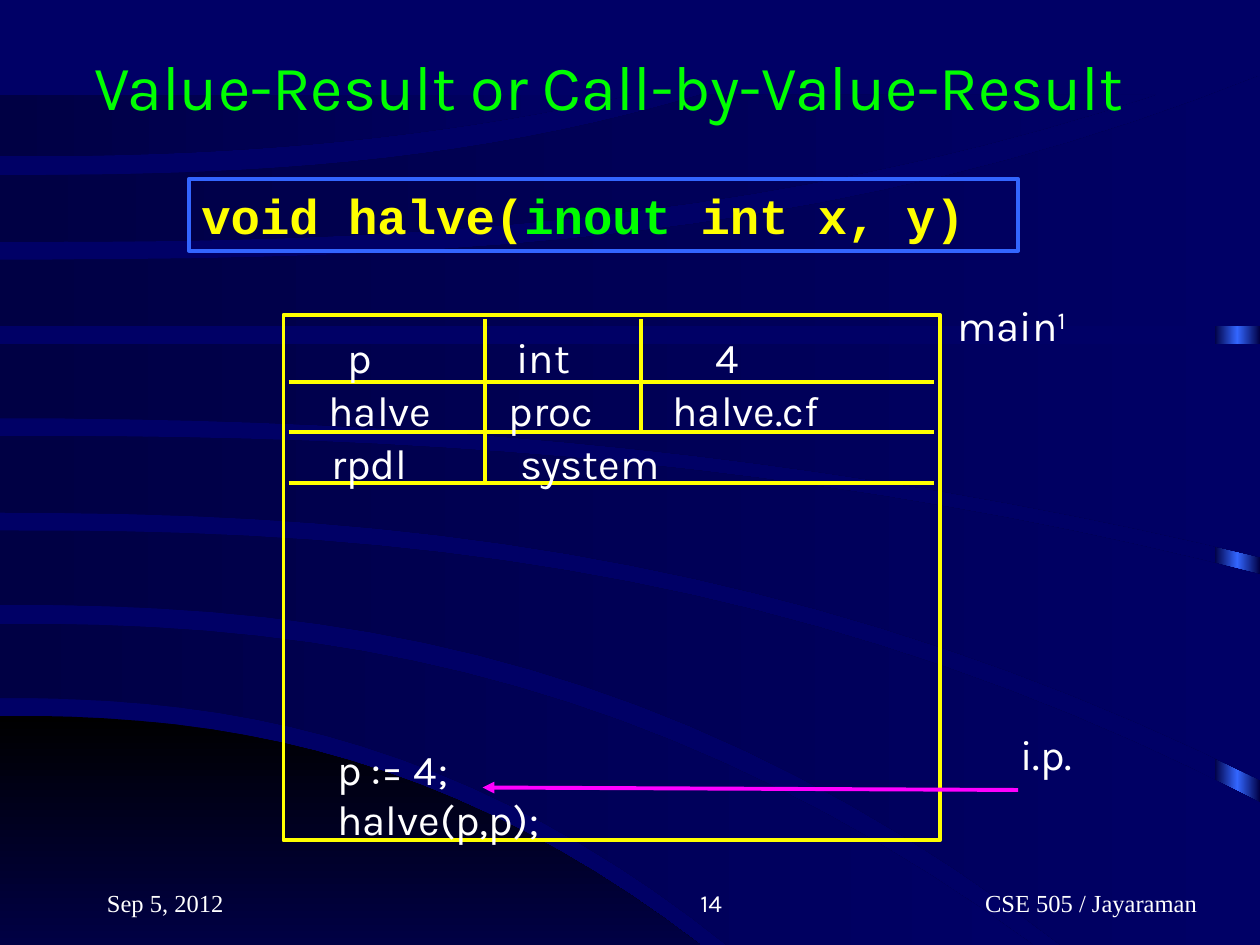
"""Build the slide on call-by-value-result with its activation record for main."""
from copy import deepcopy

from lxml.etree import SubElement
from pptx import Presentation
from pptx.dml.color import RGBColor
from pptx.enum.shapes import MSO_CONNECTOR, MSO_SHAPE
from pptx.enum.text import MSO_ANCHOR, PP_ALIGN
from pptx.oxml.ns import qn
from pptx.util import Inches, Pt

WHITE = RGBColor(0xFF, 0xFF, 0xFF)
BLACK = RGBColor(0x00, 0x00, 0x00)
NAVY = RGBColor(0x00, 0x00, 0x66)
DARK_NAVY = RGBColor(0x00, 0x00, 0x44)
BLUE = RGBColor(0x33, 0x66, 0xFF)
YELLOW = RGBColor(0xFF, 0xFF, 0x00)
GREEN = RGBColor(0x00, 0xFF, 0x00)
MAGENTA = RGBColor(0xFF, 0x00, 0xFF)

presentation = Presentation()
presentation.slide_width = Inches(10)
presentation.slide_height = Inches(7.5)
slide = presentation.slides.add_slide(presentation.slide_layouts[6])
slide.background.fill.solid()
slide.background.fill.fore_color.rgb = NAVY


def fill_gradient(shape, start, end, angle=0):
    shape.shadow.inherit = False
    shape.line.fill.background()
    shape.fill.gradient()
    shape.fill.gradient_angle = angle
    for stop, color in zip(shape.fill.gradient_stops, (start, end)):
        stop.color.rgb = color


def add_text(left, top, width, height, text, size=24, font="Karla", color=WHITE):
    box = slide.shapes.add_textbox(
        Inches(left), Inches(top), Inches(width), Inches(height))
    box.text_frame.word_wrap = True
    box.text_frame.text = text
    for paragraph in box.text_frame.paragraphs:
        for run in paragraph.runs:
            run.font.size = Pt(size)
            run.font.name = font
            run.font.color.rgb = color
    return box


strip = slide.shapes.add_shape(
    MSO_SHAPE.RECTANGLE, Inches(9.64), Inches(0.77), Inches(0.36), Inches(6.73))
fill_gradient(strip, DARK_NAVY, DARK_NAVY)
stop_list = strip._element.spPr.find(qn("a:gradFill")).find(qn("a:gsLst"))
stop_list.insert(1, deepcopy(stop_list[0]))
middle_stop = strip.fill.gradient_stops[1]
middle_stop.position = 0.5
middle_stop.color.rgb = BLUE

HILL = ((5.68, 5.56, 7.5), (7.5, 5.56, 7.5), 2.35)
BANDS = [
    ((4.95, 8.2, 7.5), (5.54, 5.77, 7.5), 2.35),
    ((4.21, 10, 6.37), (4.8, 8.42, 7.5), 2.4),
    ((3.46, 10, 4.56), (4.07, 10, 6.19), 2.35),
    ((2.73, 10, 2.73), (3.32, 10, 4.42), 2.2),
    ((2.06, 10, 0.6), (2.59, 10, 2.59), 2.75),
    ((1.39, 5.57, 0.75), (1.92, 9.18, 0.75), 2.6),
    ((0.75, 5.02, 0.75), (1.24, 5.02, 0.75), 2.3),
]
STEPS = 20
for upper, lower, bend in [HILL] + BANDS:
    upper_edge, lower_edge = [
        [(Inches(end_x * step / STEPS),
          Inches(start_y + (end_y - start_y) * (step / STEPS) ** bend))
         for step in range(STEPS + 1)]
        for start_y, end_x, end_y in (upper, lower)]
    corner = (Inches(max(upper[1], lower[1])), Inches(max(upper[2], lower[2])))
    builder = slide.shapes.build_freeform(*upper_edge[0])
    builder.add_line_segments(upper_edge[1:] + [corner] + lower_edge[::-1], close=True)
    band = builder.convert_to_shape()
    if upper == HILL[0]:
        fill_gradient(band, BLACK, DARK_NAVY, angle=270)
    else:
        fill_gradient(band, DARK_NAVY, NAVY)

FOOTERS = [
    (0.75, 2.08, "Sep 5, 2012", "Times New Roman", PP_ALIGN.LEFT),
    (6.58, 3.02, "CSE 505 / Jayaraman", "Times New Roman", PP_ALIGN.RIGHT),
    (3.75, 2.08, "14", "Karla", PP_ALIGN.RIGHT),
]
for left, width, text, font, alignment in FOOTERS:
    footer = add_text(left, 6.83, width, 0.5, text, 14, font)
    footer.text_frame.vertical_anchor = MSO_ANCHOR.BOTTOM
    footer.text_frame.paragraphs[0].alignment = alignment

FRAMES = [(2.25, 2.5, 5.21, 4.17, YELLOW), (1.5, 1.42, 6.58, 0.57, BLUE)]
for left, top, width, height, color in FRAMES:
    frame = slide.shapes.add_shape(
        MSO_SHAPE.RECTANGLE, Inches(left), Inches(top), Inches(width), Inches(height))
    frame.shadow.inherit = False
    frame.fill.background()
    frame.line.color.rgb = color
    frame.line.width = Pt(2.25)

LINES = [(2.29, y, 7.41, y, YELLOW) for y in (3.03, 3.43, 3.83)] + [
    (3.85, 2.53, 3.85, 3.83, YELLOW),
    (5.09, 2.53, 5.09, 3.43, YELLOW),
    (8.08, 6.27, 3.83, 6.25, MAGENTA),
]
for *ends, color in LINES:
    connector = slide.shapes.add_connector(
        MSO_CONNECTOR.STRAIGHT, *[Inches(end) for end in ends])
    connector.line.color.rgb = color
    connector.line.width = Pt(2.25)
    SubElement(connector._element.spPr, qn("a:effectLst"))
    if color == MAGENTA:
        line = connector._element.spPr.find(qn("a:ln"))
        SubElement(line, qn("a:tailEnd"), type="triangle")

ROWS = [
    (2.58, [(2.66, 1.25, "p"), (4, 1.25, "int"), (5.58, 1.25, "4")]),
    (3, [(2.51, 2.24, "halve"), (3.94, 1.56, "proc"), (5.24, 2.33, "halve.cf")]),
    (3.42, [(2.53, 1.55, "rpdl"), (4.03, 2.48, "system")]),
    (5.73, [(8, 0.67, "i.p.")]),
]
for top, cells in ROWS:
    for left, width, text in cells:
        add_text(left, top, width, 0.5, text)

main_label = add_text(7.5, 2.33, 2.04, 0.5, "main")
superscript = main_label.text_frame.paragraphs[0].add_run()
superscript.text = "1"
superscript.font.size = Pt(24)
superscript.font.name = "Karla"
superscript.font.color.rgb = WHITE
superscript.font._element.set("baseline", "30000")

add_text(0.65, 0.33, 8.85, 0.7, "Value-Result or Call-by-Value-Result", 36, color=GREEN)
program = add_text(2.58, 5.85, 1.82, 0.9, "p := 4;\nhalve(p,p);")
program.text_frame.word_wrap = False

signature = frame.text_frame
signature.word_wrap = True
signature.vertical_anchor = MSO_ANCHOR.TOP
signature.paragraphs[0].alignment = PP_ALIGN.LEFT
for text, color in [("void halve(", YELLOW), ("inout", GREEN), (" int x, y)", YELLOW)]:
    run = signature.paragraphs[0].add_run()
    run.text = text
    run.font.size = Pt(28)
    run.font.name = "Courier New"
    run.font.bold = True
    run.font.color.rgb = color

presentation.save("out.pptx")
